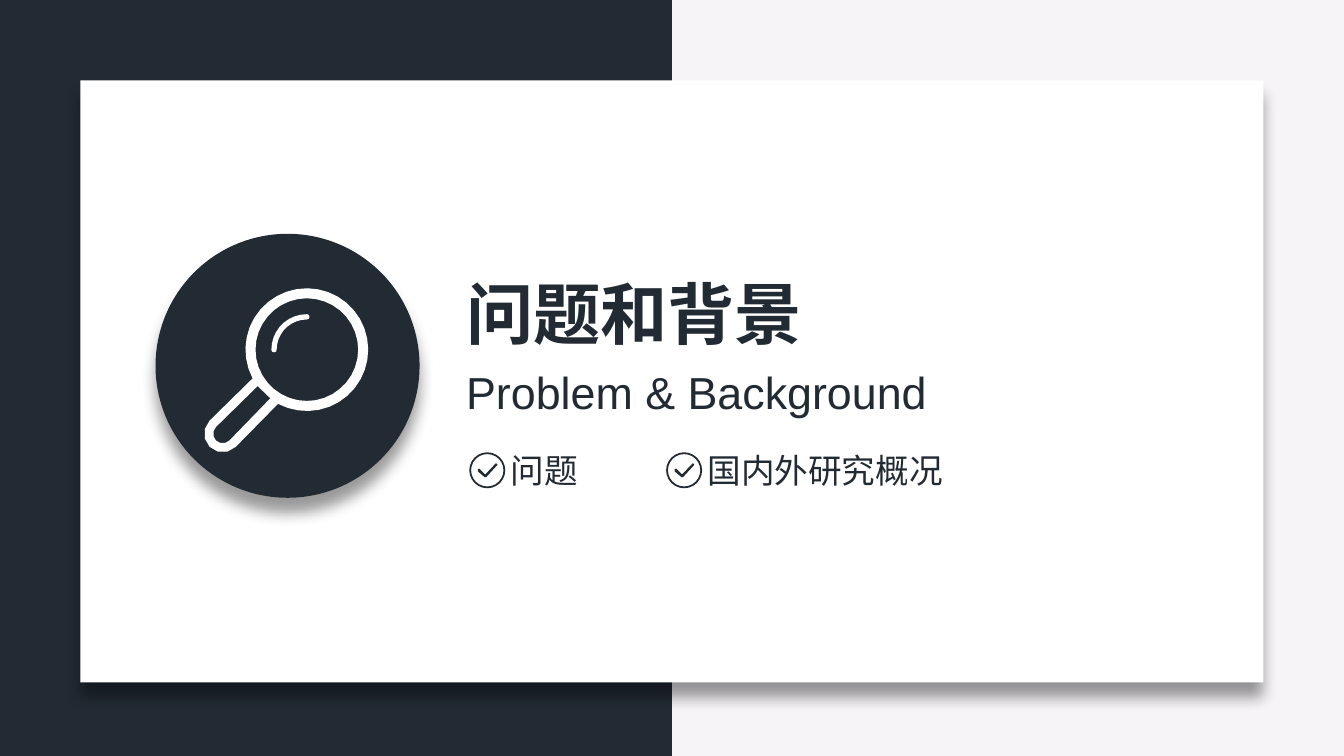
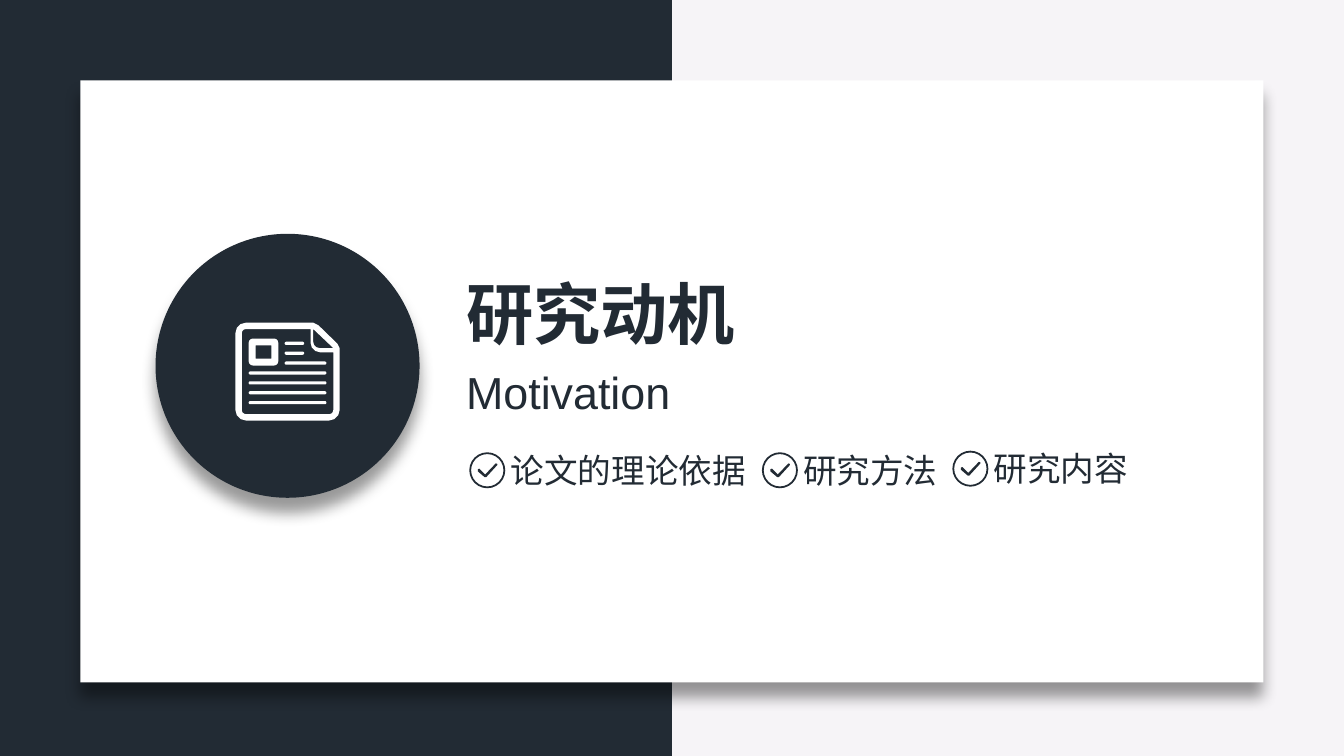
"""Build two section slides, each with a round icon, a title and ticked topics."""
from math import cos, radians, sin

from lxml.etree import SubElement
from pptx import Presentation
from pptx.dml.color import RGBColor
from pptx.enum.shapes import MSO_SHAPE as Kind
from pptx.enum.text import MSO_AUTO_SIZE as Auto
from pptx.oxml.ns import qn
from pptx.util import Cm, Pt

DARK = RGBColor(0x22, 0x2B, 0x34)
PALE = RGBColor(0xF6, 0xF4, 0xF7)
WHITE = RGBColor(0xFF, 0xFF, 0xFF)
HAN, LATIN = "Noto Sans CJK SC", "Arial"
WIDE, HIGH = 25.4, 14.29
LEFT = 8.56
TICK = [(-.05, .13), (-.18, .02), (-.18, -.02), (-.15, -.03), (-.04, .08),
        (.16, -.13), (.19, -.12), (.19, -.1), (-.02, .13)]

PAGES = [
    {"title": "问题和背景", "sub": "Problem & Background", "span": 9.32, "icon": "lens",
     "items": [("问题", 9.21, 8.89), ("国内外研究概况", 12.93, 8.89)]},
    {"title": "研究动机", "sub": "Motivation", "span": 4.42, "icon": "paper",
     "items": [("论文的理论依据", 9.21, 8.89), ("研究方法", 14.74, 8.89),
               ("研究内容", 18.34, 8.86)]},
]


def arc(x, y, rad, start, end):
    """Return points on an arc, with angles in degrees, clockwise from the right."""
    step = 10 if rad > .5 else 30
    count = max(2, round(abs(end - start) / step))
    turns = [radians(start + (end - start) * i / count) for i in range(count + 1)]
    return [(x + rad * cos(t), y + rad * sin(t)) for t in turns]


def paint(shape, color):
    """Give a shape a plain fill with no line or shadow."""
    shape.fill.solid()
    shape.fill.fore_color.rgb = color
    shape.line.fill.background()
    shape.shadow.inherit = False


def block(shapes, kind, left, top, wide, high, color, raised=False, bend=None):
    """Add a preset shape, with a soft shadow below it if raised."""
    shape = shapes.add_shape(kind, Cm(left), Cm(top), Cm(wide), Cm(high))
    paint(shape, color)
    if bend is not None:
        shape.adjustments[0] = bend
    if raised:
        effects = shape._element.spPr.find(qn("a:effectLst"))
        shade = SubElement(effects, qn("a:outerShdw"), blurRad=str(Pt(8)), dist=str(Pt(8)),
                           dir="5400000", algn="t", rotWithShape="0")
        tone = SubElement(shade, qn("a:srgbClr"), val="000000")
        SubElement(tone, qn("a:alpha"), val="40000")


def draw(shapes, color, *loops):
    """Add one filled outline; each later loop cuts a hole or adds a part."""
    loops = [[(Cm(x), Cm(y)) for x, y in loop] for loop in loops]
    pen = shapes.build_freeform(*loops[0][0], scale=1.0)
    for i, loop in enumerate(loops):
        if i:
            pen.move_to(*loop[0])
        pen.add_line_segments(loop[1:], close=True)
    paint(pen.convert_to_shape(), color)


def write(shapes, text, left, top, high, size, font=HAN, bold=False, wide=None):
    """Add one line of text; Han text is one em wide per character."""
    wide = wide or len(text) * Pt(size).cm + 0.5
    label = shapes.add_textbox(Cm(left), Cm(top), Cm(wide), Cm(high))
    frame = label.text_frame
    frame.word_wrap = False
    frame.auto_size = Auto.SHAPE_TO_FIT_TEXT
    run = frame.paragraphs[0].add_run()
    run.text = text
    run.font.size, run.font.bold = Pt(size), bold
    run.font.color.rgb = DARK
    run.font.name = font
    SubElement(run.font._element, qn("a:ea"), typeface=font)


def topic(shapes, text, x, y):
    """Add a ringed tick centred at x, y with its label."""
    mark = shapes.add_group_shape().shapes
    block(mark, Kind.DONUT, x - .34, y - .34, .68, .68, DARK, bend=.05)
    draw(mark, DARK, [(x + dx, y + dy) for dx, dy in TICK])
    write(shapes, text, x + .19, y - .51, 1.03, 18)


def lens(shapes):
    """Draw a magnifying glass."""
    x, y = 5.8, 6.61
    end = 4.21, 8.2
    draw(shapes, WHITE,
         arc(x, y, 1.16, 152, 478) + arc(*end, .35, 45, 225),
         arc(x, y, .97, 0, 360),
         arc(*end, .18, 45, 225) + [(4.87, 7.3), (5.11, 7.53)])
    draw(shapes, WHITE,
         arc(x, y, .67, 180, 270) + arc(x, y - .62, .05, 270, 450)
         + arc(x, y, .57, 270, 180) + arc(x - .62, y, .05, 0, 180))


def paper(shapes):
    """Draw a news sheet with a folded corner."""
    def sides(rad):
        return (arc(6.42 - .2, 7.75, rad, 0, 90) + arc(4.65, 7.75, rad, 90, 180)
                + arc(4.65, 6.3, rad, 180, 270))

    draw(shapes, WHITE,
         sides(.2) + [(5.92, 6.1), (6.02, 6.15), (6.38, 6.5), (6.42, 6.58)],
         sides(.08) + [(5.87, 6.22)] + arc(6.05, 6.48, .18, 180, 90) + [(6.3, 6.66)],
         [(5.92, 6.22), (6.3, 6.58)] + arc(6.04, 6.46, .12, 90, 180))
    spans = [(5.38, 5.75)] * 2 + [(5.38, 6.17)] + [(4.7, 6.17)] * 4
    for i, (left, right) in enumerate(spans):
        block(shapes, Kind.ROUNDED_RECTANGLE, left, 6.46 + i * .187, right - left, .06,
              WHITE, bend=.5)
    draw(shapes, WHITE,
         arc(4.78, 6.48, .08, 180, 270) + arc(5.18, 6.48, .08, 270, 360)
         + arc(5.18, 6.83, .08, 0, 90) + arc(4.78, 6.83, .08, 90, 180),
         [(4.83, 6.53), (5.13, 6.53), (5.13, 6.78), (4.83, 6.78)])


ICONS = {"lens": lens, "paper": paper}


def build(deck, page):
    """Add one section slide."""
    shapes = deck.slides.add_slide(deck.slide_layouts[6]).shapes
    block(shapes, Kind.RECTANGLE, 0, 0, WIDE / 2, HIGH, DARK)
    block(shapes, Kind.RECTANGLE, 1.52, 1.52, 22.36, 11.38, WHITE, raised=True)
    block(shapes, Kind.OVAL, 2.94, 4.42, 4.99, 4.99, DARK, raised=True)
    write(shapes, page["title"], LEFT, 5.03, 1.8, 36, bold=True)
    write(shapes, page["sub"], LEFT, 6.76, 1.28, 24, font=LATIN, wide=page["span"])
    for item in page["items"]:
        topic(shapes, *item)
    ICONS[page["icon"]](shapes.add_group_shape().shapes)


def main():
    """Build and save the deck."""
    deck = Presentation()
    deck.slide_width, deck.slide_height = Cm(WIDE), Cm(HIGH)
    back = deck.slide_master.background.fill
    back.solid()
    back.fore_color.rgb = PALE
    for page in PAGES:
        build(deck, page)
    deck.save("out.pptx")


if __name__ == "__main__":
    main()
